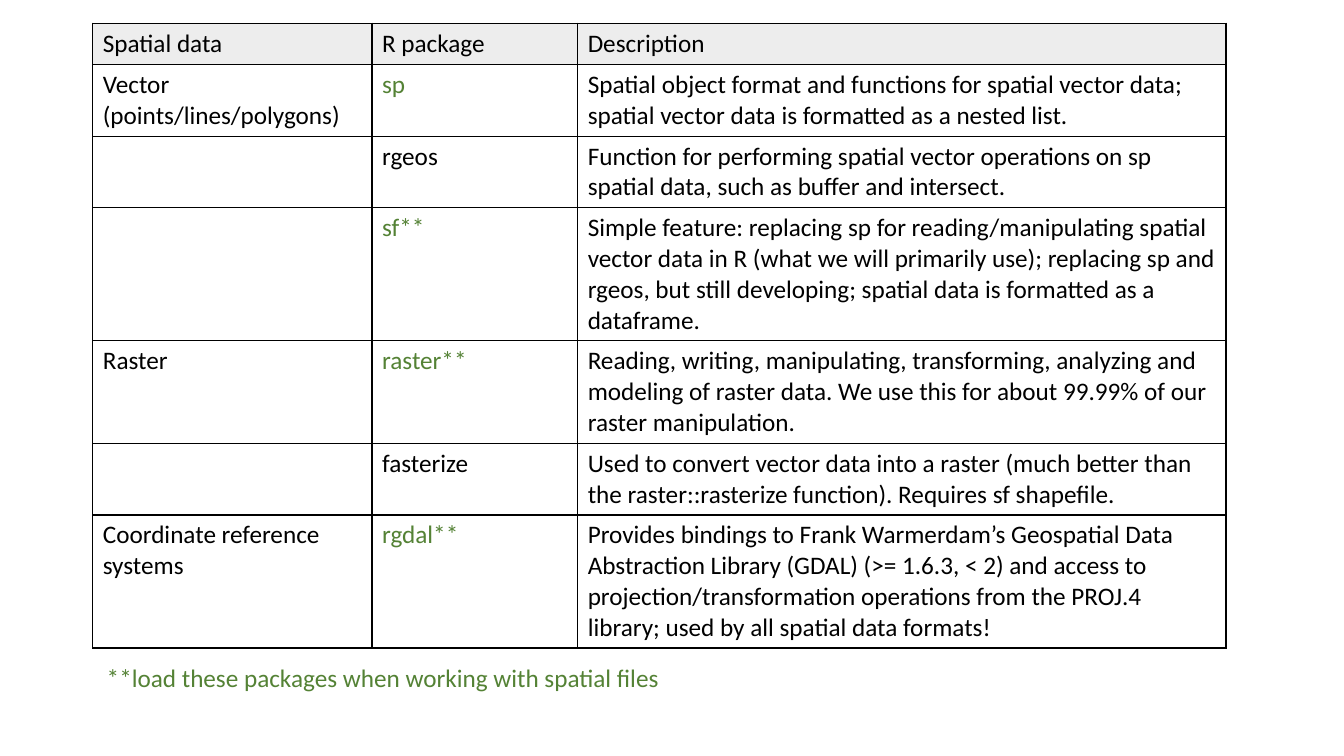
from pptx import Presentation
from pptx.dml.color import RGBColor
from pptx.enum.text import MSO_ANCHOR, MSO_AUTO_SIZE
from pptx.oxml import parse_xml
from pptx.oxml.ns import nsdecls
from pptx.util import Pt

TOP = MSO_ANCHOR.TOP
GROW = MSO_AUTO_SIZE.SHAPE_TO_FIT_TEXT
PX = 9144  # 100 px to the inch
COLORS = {"ink": "000000", "load": "548235", "head": "EDEDED"}
FONT = {"name": "Calibri", "size": Pt(18), "bold": False}
FRAME = {"word_wrap": True, "auto_size": GROW, "vertical_anchor": TOP}
PLAIN = {"first_row": False, "horz_banding": False}

COLS = [277, 204, 643]
HEAD = ["Spatial data", "R package", "Description"]
# Kind of data, package, load it?, description, row height
PACKS = [
    ("Vector\n(points/lines/polygons)", "sp", True,
     "Spatial object format and functions for spatial vector data; "
     "spatial vector data is formatted as a nested list.", 71),
    ("", "rgeos", False,
     "Function for performing spatial vector operations on sp spatial data, "
     "such as buffer and intersect.", 71),
    ("", "sf**", True,
     "Simple feature: replacing sp for reading/manipulating spatial vector "
     "data in R (what we will primarily use); replacing sp and rgeos, but "
     "still developing; spatial data is formatted as a dataframe.", 132),
    ("Raster", "raster**", True,
     "Reading, writing, manipulating, transforming, analyzing and modeling of "
     "raster data. We use this for about 99.99% of our raster manipulation.", 101),
    ("", "fasterize", False,
     "Used to convert vector data into a raster (much better than the "
     "raster::rasterize function). Requires sf shapefile.", 71),
    ("Coordinate reference systems", "rgdal**", True,
     "Provides bindings to Frank Warmerdam’s Geospatial Data Abstraction "
     "Library (GDAL) (>= 1.6.3, < 2) and access to projection/transformation "
     "operations from the PROJ.4 library; used by all spatial data formats!", 132),
]
HEAD_H = 41


def px(*nums):
    return [n * PX for n in nums]


def put(item, values):
    for name, value in values.items():
        setattr(item, name, value)


def rgb(name):
    return RGBColor.from_string(COLORS[name])


def write(frame, text, color):
    frame.text = text
    for para in frame.paragraphs:
        put(para.font, FONT)
        for run in para.runs:
            put(run.font, FONT)
            run.font.color.rgb = rgb(color)


def edge(cell):
    """Draw a thin line on all four sides of a cell."""
    props = cell._tc.get_or_add_tcPr()
    for at, side in enumerate(("lnL", "lnR", "lnT", "lnB")):
        props.insert(at, parse_xml(
            f'<a:{side} {nsdecls("a")} w="{Pt(1)}"><a:solidFill>'
            f'<a:srgbClr val="{COLORS["ink"]}"/></a:solidFill></a:{side}>'))


def add_grid(slide, left, top):
    """Table of packages, with a grey head row."""
    heights = [HEAD_H] + [pack[-1] for pack in PACKS]
    box = px(left, top, sum(COLS), sum(heights))
    grid = slide.shapes.add_table(len(heights), len(COLS), *box).table
    put(grid, PLAIN)
    for col, width in zip(grid.columns, px(*COLS)):
        col.width = width
    for row, height in zip(grid.rows, px(*heights)):
        row.height = height

    # Texts and their colours, row by row
    rows = [[(text, "ink") for text in HEAD]]
    for kind, name, load, about, _ in PACKS:
        rows.append([(kind, "ink"), (name, "load" if load else "ink"), (about, "ink")])
    for r, row in enumerate(rows):
        for c, (text, color) in enumerate(row):
            cell = grid.cell(r, c)
            write(cell.text_frame, text, color)
            if r == 0:
                cell.fill.solid()
                cell.fill.fore_color.rgb = rgb("head")
            else:
                cell.fill.background()
            edge(cell)


def add_note(slide, left, top, width, height):
    """Key to the starred packages."""
    frame = slide.shapes.add_textbox(*px(left, top, width, height)).text_frame
    put(frame, FRAME)
    write(frame, "**load these packages when working with spatial files", "load")


def main():
    deck = Presentation()
    deck.slide_width, deck.slide_height = px(1333, 750)
    slide = deck.slides.add_slide(deck.slide_layouts[6])
    add_grid(slide, 92, 23)
    add_note(slide, 96, 652, 631, 71)
    deck.save("out.pptx")


if __name__ == "__main__":
    main()
